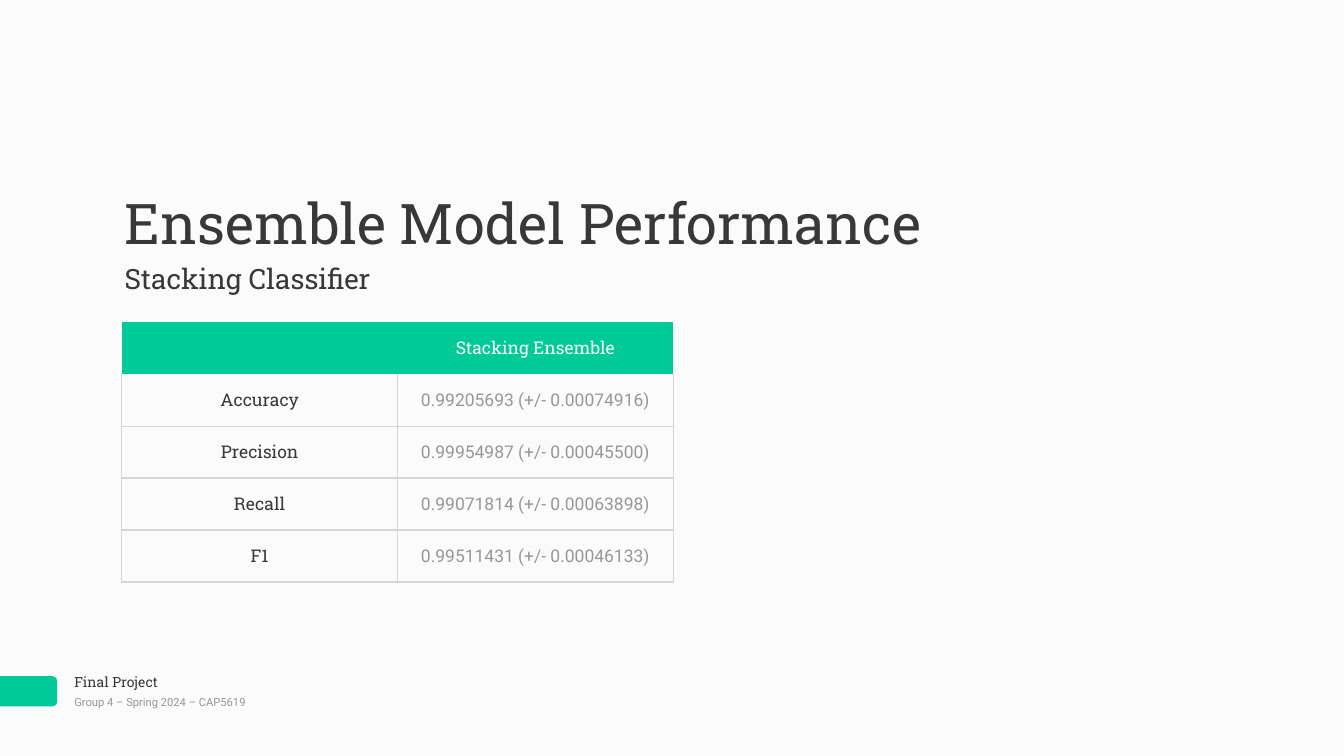
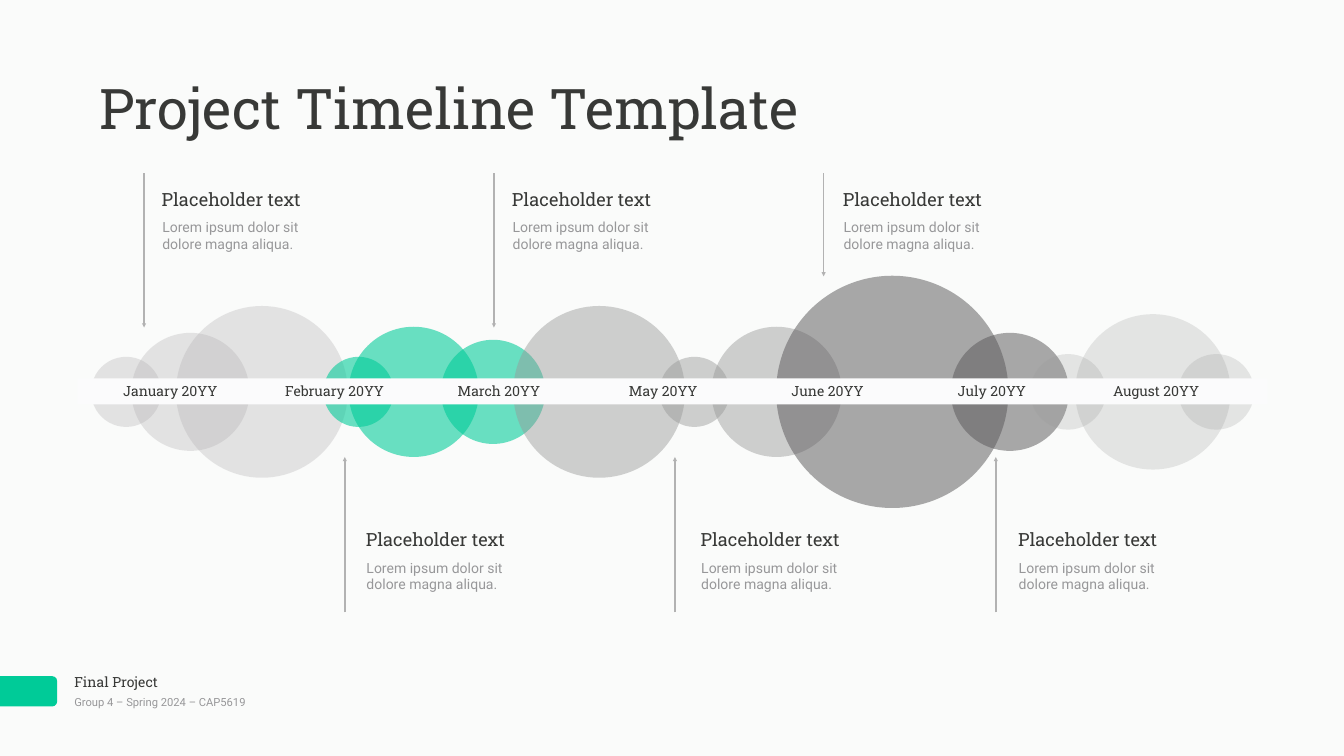
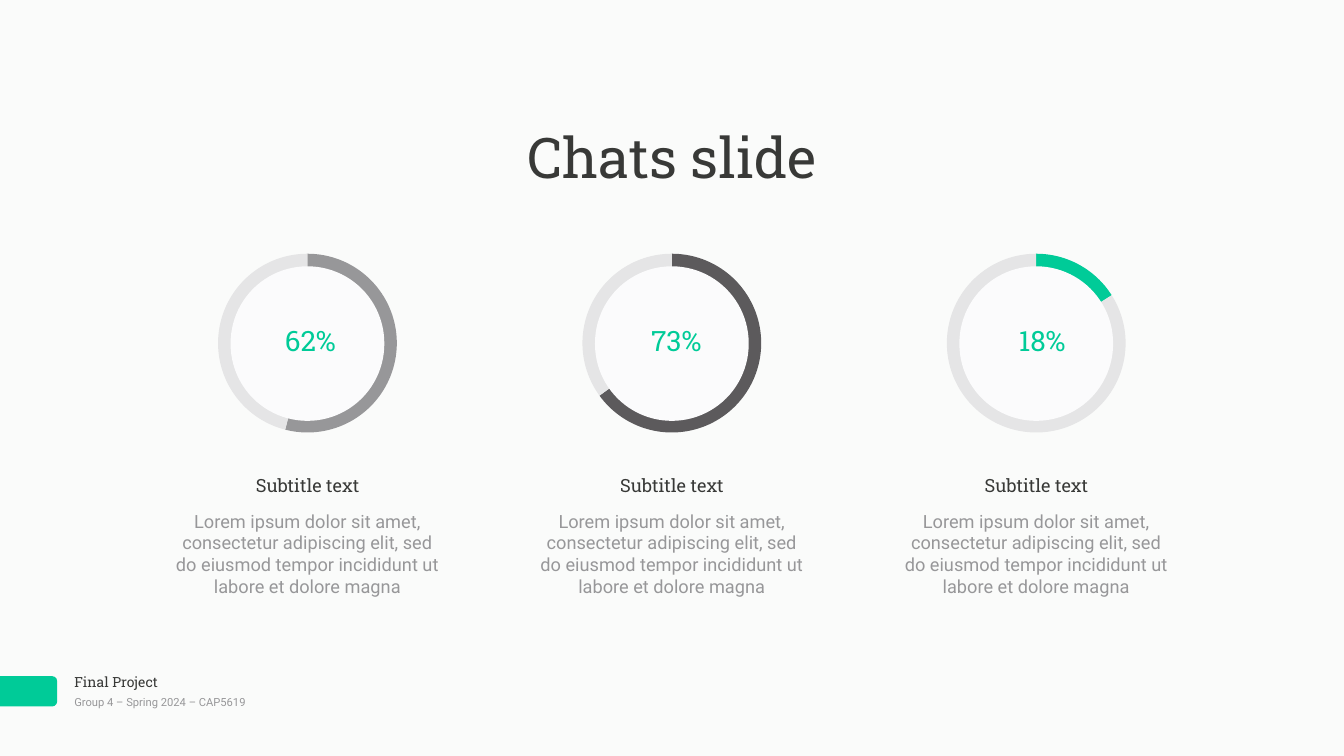
import dataclasses

import lxml.etree
import pptx
import pptx.chart.data
import pptx.dml.color
import pptx.enum.chart
import pptx.enum.shapes
import pptx.enum.text
import pptx.oxml
import pptx.oxml.ns
import pptx.util


@dataclasses.dataclass(frozen=True)
class Theme:
    bg: str = "FAFBFA"
    white: str = "FBFBFC"
    dark: str = "383937"
    gray: str = "979799"
    green: str = "00CB98"
    rule: str = "D5D5D5"
    arrow: str = "B2B2B2"
    pale: str = "B2B0B2"
    mid: str = "989998"
    deep: str = "5C5A5C"
    track: str = "E5E5E6"
    slab: str = "Roboto Slab"
    sans: str = "Roboto"
    title: int = 80
    subtitle: int = 40
    heading: int = 26
    cell: int = 25
    small: int = 20
    tiny: int = 16


T = Theme()
U = pptx.util.Inches(1 / 6)
COLS, ROWS = 160, 90
RGB = pptx.dml.color.RGBColor.from_string
MSO = pptx.enum.shapes.MSO_SHAPE
ALIGN = pptx.enum.text.PP_ALIGN
ANCHOR = pptx.enum.text.MSO_ANCHOR
qn = pptx.oxml.ns.qn


def box(s, x, y, w, h, kind=None, fill=None, alpha=100):
    at = [int(v * U) for v in (x, y, w, h)]
    if kind is None:
        return s.shapes.add_textbox(*at)
    sp = s.shapes.add_shape(kind, *at)
    sp.shadow.inherit = False
    sp.line.fill.background()
    sp.fill.solid()
    sp.fill.fore_color.rgb = RGB(fill)
    if alpha < 100:
        clr = sp.element.spPr.find(".//" + qn("a:srgbClr"))
        lxml.etree.SubElement(clr, qn("a:alpha")).set("val", str(alpha * 1000))
    return sp


def text(target, t, size=T.small, font=T.slab, color=T.dark, align=ALIGN.LEFT, anchor=ANCHOR.TOP):
    tf = target.text_frame
    target.margin_left = target.margin_right = target.margin_top = target.margin_bottom = int(0.35 * U)
    tf.margin_left = tf.margin_right = tf.margin_top = tf.margin_bottom = int(0.35 * U)
    tf.word_wrap = True
    tf.vertical_anchor = anchor
    p = tf.paragraphs[0]
    p.alignment = align
    r = p.add_run()
    r.text = t
    r.font.size = pptx.util.Pt(size)
    r.font.name = font
    r.font.color.rgb = RGB(color)
    return tf


prs = pptx.Presentation()
prs.slide_width, prs.slide_height = COLS * U, ROWS * U
bg = prs.slide_master.background.fill
bg.solid()
bg.fore_color.rgb = RGB(T.bg)

titles = [
    ("Ensemble Model Performance", (14.5, 22.1, 100.6, 8.8), ALIGN.LEFT),
    ("Project Timeline Template", (11.5, 8.4, 87.2, 8.8), ALIGN.LEFT),
    ("Chats slide", (56, 14.2, 48, 8.8), ALIGN.CENTER),
]
for title, at, align in titles:
    s = prs.slides.add_slide(prs.slide_layouts[6])
    text(box(s, 8.5, 79.8, 19.1, 2.7), "Final Project")
    text(box(s, 8.5, 82.4, 28.3, 2.3), "Group 4 – Spring 2024 – CAP5619",
         size=T.tiny, font=T.sans, color=T.gray, anchor=ANCHOR.MIDDLE)
    tab = box(s, -0.6, 80.5, 7.4, 3.6, MSO.ROUNDED_RECTANGLE, T.green)
    tab.adjustments[0] = 0.16
    text(box(s, *at), title, size=T.title, align=align)
results, timeline, charts = prs.slides

s = results
rows = [
    ("", "Stacking Ensemble"),
    ("Accuracy", "0.99205693 (+/- 0.00074916)"),
    ("Precision", "0.99954987 (+/- 0.00045500)"),
    ("Recall", "0.99071814 (+/- 0.00063898)"),
    ("F1", "0.99511431 (+/- 0.00046133)"),
]
col_w, row_h = int(32.82 * U), int(6.19 * U)
frame = s.shapes.add_table(len(rows), 2, int(14.5 * U), int(38.35 * U), 2 * col_w, len(rows) * row_h)
frame.element.find(".//" + qn("a:tableStyleId")).text = "{2D5ABB26-0587-4C30-8999-92F81FD0307C}"
for i, row in enumerate(rows):
    frame.table.rows[i].height = row_h
    for j, t in enumerate(row):
        cell = frame.table.cell(i, j)
        cell.vertical_anchor = ANCHOR.MIDDLE
        if i == 0:
            cell.fill.solid()
            cell.fill.fore_color.rgb = RGB(T.green)
        else:
            cell.fill.background()
            tcPr = cell.fill._xPr
            for n, side in enumerate("LRB"):
                tcPr.insert(n, pptx.oxml.parse_xml(
                    f'<a:ln{side} xmlns:a="http://schemas.openxmlformats.org/drawingml/2006/main" w="25400">'
                    f'<a:solidFill><a:srgbClr val="{T.rule}"/></a:solidFill></a:ln{side}>'))
        if t:
            value = i > 0 and j > 0
            cell.margin_left = cell.margin_right = cell.margin_top = cell.margin_bottom = int(0.35 * U)
            p = cell.text_frame.paragraphs[0]
            p.alignment = ALIGN.CENTER
            r = p.add_run()
            r.text = t
            r.font.size = pptx.util.Pt(T.cell)
            r.font.name = T.sans if value else T.slab
            r.font.color.rgb = RGB(T.white if i == 0 else T.gray if value else T.dark)
text(box(s, 14.5, 30.8, 100.6, 4.7), "Stacking Classifier", size=T.subtitle)

s = timeline
axis_y = 46.65
groups = [
    (T.pale, 32, [(10.85, 8.35), (15.65, 14.05), (20.95, 20.45)]),
    (T.green, 58, [(38.5, 8.35), (41.5, 15.5), (52.5, 12.4)]),
    (T.mid, 46, [(61.1, 20.45), (78.5, 8.35), (84.7, 15.5)]),
    (T.deep, 52, [(92.4, 27.65), (113.2, 14.05)]),
    (T.mid, 23, [(122.65, 9), (128, 18.5), (140.3, 9)]),
]
for color, alpha, circles in groups:
    for x, d in circles:
        box(s, x, axis_y - d / 2, d, d, MSO.OVAL, color, alpha)
box(s, 9.2, 45.05, 141.7, 3.1, MSO.RECTANGLE, T.white)
for i, month in enumerate(["January", "February", "March", "May", "June", "July", "August"]):
    text(box(s, 11.1 + 19.56 * i, 45.2, 18.35, 2.5), f"{month} 20YY", align=ALIGN.CENTER)

callouts = [
    (17.15, 20.6, 39, 18.9, 22.1),
    (58.8, 20.6, 39, 60.6, 22.1),
    (98.05, 20.6, 32.9, 100, 22.1),
    (41.05, 72.9, 54.4, 43.2, 62.6),
    (80.35, 72.9, 54.4, 83.05, 62.6),
    (118.55, 72.9, 54.4, 120.85, 62.6),
]
for line_x, start, end, x, y in callouts:
    ln = s.shapes.add_connector(pptx.enum.shapes.MSO_CONNECTOR.STRAIGHT,
                                *[int(v * U) for v in (line_x, start, line_x, end)])
    ln.line.color.rgb = RGB(T.arrow)
    ln.line.width = pptx.util.Pt(2)
    lxml.etree.SubElement(ln.line._get_or_add_ln(), qn("a:tailEnd")).set("type", "triangle")
    lxml.etree.SubElement(ln.element.spPr, qn("a:effectLst"))
    text(box(s, x + 0.08, y + 3.6, 18.85, 4.7), "Lorem ipsum dolor sit dolore magna aliqua.",
         font=T.sans, color=T.gray)
    text(box(s, x, y, 18.85, 3.3), "Placeholder text", size=T.heading)

s = charts
rings = [("62%", 54, T.gray), ("73%", 65, T.deep), ("18%", 16, T.green)]
for i, (label, share, color) in enumerate(rings):
    x = 43.38 * i
    data = pptx.chart.data.CategoryChartData()
    data.categories = ["1", "2"]
    data.add_series("Series 1", (share, 100 - share))
    chart = s.shapes.add_chart(pptx.enum.chart.XL_CHART_TYPE.PIE,
                               *[int(v * U) for v in (25.85 + x, 30.1, 21.5, 21.5)], data).chart
    chart.has_legend = chart.has_title = False
    chart.font.size = pptx.util.Pt(10)
    chart.font.name = "Arial"
    chart.font.color.rgb = RGB(T.dark)
    plot = chart.plots[0]
    plot.vary_by_categories = True
    for n, c in enumerate((color, T.track)):
        fmt = plot.series[0].points[n].format
        fmt.fill.solid()
        fmt.fill.fore_color.rgb = RGB(c)
        fmt.line.fill.background()
    area = chart.element.find(".//" + qn("c:plotArea"))
    for old in area.findall(qn("c:layout")):
        area.remove(old)
    layout = lxml.etree.Element(qn("c:layout"))
    area.insert(0, layout)
    manual = lxml.etree.SubElement(layout, qn("c:manualLayout"))
    for tag, val in [("layoutTarget", "inner"), ("xMode", "edge"), ("yMode", "edge"),
                     ("x", "0.005"), ("y", "0.005"), ("w", "0.99"), ("h", "0.99")]:
        lxml.etree.SubElement(manual, qn("c:" + tag)).set("val", val)
    hole = box(s, 27.45 + x, 31.7, 18.3, 18.4, MSO.ROUNDED_RECTANGLE, T.white)
    hole.adjustments[0] = 0.5
    text(box(s, 30.25 + 43.56 * i, 38.2, 13.4, 4.7), label,
         size=T.subtitle, color=T.green, align=ALIGN.CENTER)
    text(box(s, 23.1 + x, 56.15, 27.05, 3.3), "Subtitle text", size=T.heading, align=ALIGN.CENTER)
    text(box(s, 20.3 + x, 60.35, 32.6, 11.15),
         "Lorem ipsum dolor sit amet, consectetur adipiscing elit, sed do eiusmod tempor incididunt ut labore et dolore magna",
         size=T.heading, font=T.sans, color=T.gray, align=ALIGN.CENTER)

prs.save("out.pptx")
